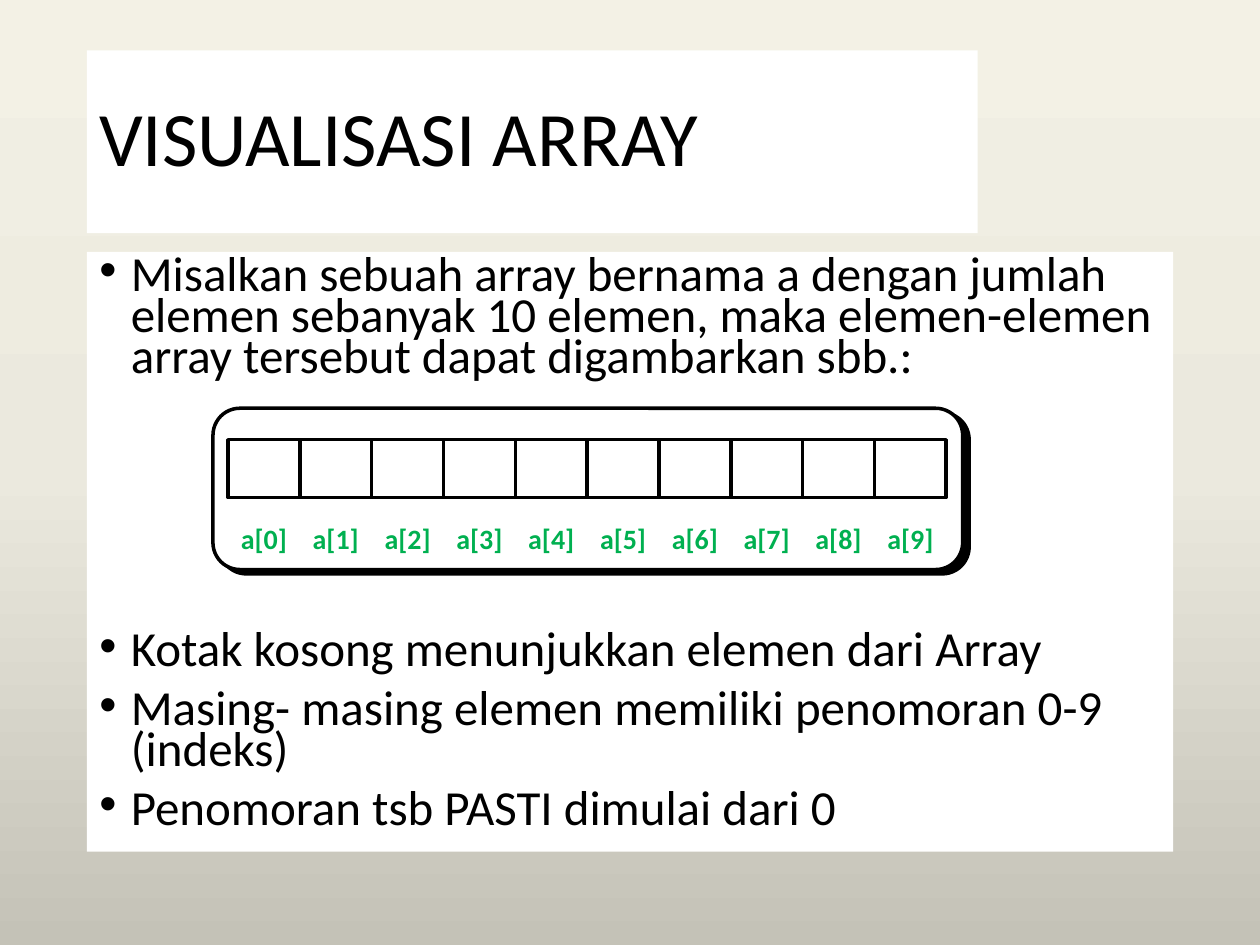
from copy import deepcopy

from lxml.etree import SubElement
from pptx import Presentation
from pptx.dml.color import RGBColor
from pptx.enum.shapes import MSO_CONNECTOR, MSO_SHAPE
from pptx.enum.text import MSO_ANCHOR, PP_ALIGN
from pptx.oxml.ns import qn
from pptx.util import Inches, Pt

BLACK = RGBColor(0x00, 0x00, 0x00)
WHITE = RGBColor(0xFF, 0xFF, 0xFF)
GREEN = RGBColor(0x00, 0xB0, 0x50)
BACKGROUND = [(0, RGBColor(0xF3, 0xF1, 0xE5)),
              (0.5, RGBColor(0xEB, 0xE9, 0xDE)),
              (1, RGBColor(0xC4, 0xC2, 0xB7))]
FONT = "Calibri"
ELEMENTS = 10

# Bullet text and the space before it in points; the large gap holds the diagram
BULLETS = [
    ("Misalkan sebuah array bernama a dengan jumlah elemen sebanyak 10 elemen, "
     "maka elemen-elemen array tersebut dapat digambarkan sbb.:", 0),
    ("Kotak kosong menunjukkan elemen dari Array", 144),
    ("Masing- masing elemen memiliki penomoran 0-9 (indeks)", 10),
    ("Penomoran tsb PASTI dimulai dari 0", 10),
]


def paint_background(s):
    fill = s.background.fill
    fill.gradient()
    fill.gradient_angle = 270
    stops = s.element.find(".//" + qn("a:gsLst"))
    stops.append(deepcopy(stops[-1]))
    for stop, (position, color) in zip(fill.gradient_stops, BACKGROUND):
        stop.position = position
        stop.color.rgb = color


def add_text_box(s, x, y, w, h, fill=None):
    sp = s.shapes.add_textbox(Inches(x), Inches(y), Inches(w), Inches(h))
    sp.text_frame.word_wrap = True
    if fill is not None:
        sp.fill.solid()
        sp.fill.fore_color.rgb = fill
    return sp.text_frame


def add_run(p, text, size, color=BLACK, bold=False):
    r = p.add_run()
    r.text = text
    r.font.name = FONT
    r.font.size = Pt(size)
    r.font.color.rgb = color
    r.font.bold = bold


def add_bullet(p):
    pPr = p._p.get_or_add_pPr()
    pPr.set("marL", str(Inches(0.25)))
    pPr.set("indent", str(Inches(-0.25)))
    SubElement(pPr, qn("a:buFont"), typeface="Arial")
    SubElement(pPr, qn("a:buChar"), char="•")


def add_title(s, x, y, w, h):
    tf = add_text_box(s, x, y, w, h, WHITE)
    tf.vertical_anchor = MSO_ANCHOR.MIDDLE
    p = tf.paragraphs[0]
    p.line_spacing = 0.9
    add_run(p, "VISUALISASI ARRAY", 44)


def add_body(s, x, y, w, h):
    tf = add_text_box(s, x, y, w, h, WHITE)
    for i, (text, gap) in enumerate(BULLETS):
        p = tf.add_paragraph() if i else tf.paragraphs[0]
        add_bullet(p)
        p.line_spacing = 0.7
        p.space_before = Pt(gap)
        add_run(p, text, 28)


def add_outline(s, kind, x, y, w, h):
    sp = s.shapes.add_shape(kind, Inches(x), Inches(y), Inches(w), Inches(h))
    sp.shadow.inherit = False
    sp.fill.background()
    sp.line.color.rgb = BLACK
    sp.line.width = Pt(2)
    return sp


def add_hard_shadow(sp):
    effects = sp._element.spPr.find(qn("a:effectLst"))
    shadow = SubElement(effects, qn("a:outerShdw"), dist=str(Pt(4.5)),
                        dir=str(34 * 60000), algn="ctr", rotWithShape="0")
    SubElement(shadow, qn("a:srgbClr"), val=str(BLACK))


def add_divider(s, x, top, bottom):
    line = s.shapes.add_connector(MSO_CONNECTOR.STRAIGHT, Inches(x), Inches(top),
                                  Inches(x), Inches(bottom))
    line.line.color.rgb = BLACK
    line.line.width = Pt(2)
    SubElement(line._element.spPr, qn("a:effectLst"))
    return line


def add_array(s, x, y, w, h):
    # Rounded frame
    frame = add_outline(s, MSO_SHAPE.ROUNDED_RECTANGLE, x, y, w, h)
    frame.adjustments[0] = 0.167
    frame.fill.solid()
    frame.fill.fore_color.rgb = WHITE
    add_hard_shadow(frame)

    # Row of equal cells
    left, top, row_w, row_h = x + 0.12, y + 0.25, w - 0.25, 0.46
    cell_w = row_w / ELEMENTS
    row = add_outline(s, MSO_SHAPE.RECTANGLE, left, top, row_w, row_h)
    for i in range(1, ELEMENTS):
        line = add_divider(s, left + i * cell_w, top, top + row_h)
        if i * 2 == ELEMENTS:
            line.begin_connect(row, 0)
            line.end_connect(row, 2)

    # Index under each cell
    label_w = 0.51
    for i in range(ELEMENTS):
        tf = add_text_box(s, left + i * cell_w + (cell_w - label_w) / 2,
                          y + 0.89, label_w, 0.33)
        tf.margin_left = tf.margin_right = Inches(0.01)
        tf.margin_top = tf.margin_bottom = Inches(0.01)
        p = tf.paragraphs[0]
        p.alignment = PP_ALIGN.CENTER
        add_run(p, f"a[{i}]", 16, GREEN, bold=True)


def main():
    prs = Presentation()
    prs.slide_width, prs.slide_height = Inches(10), Inches(7.5)
    s = prs.slides.add_slide(prs.slide_layouts[6])
    paint_background(s)
    add_title(s, 0.69, 0.4, 7.07, 1.45)
    add_body(s, 0.69, 2, 8.62, 4.76)
    add_array(s, 1.69, 3.24, 5.95, 1.28)
    prs.save("out.pptx")


if __name__ == "__main__":
    main()
